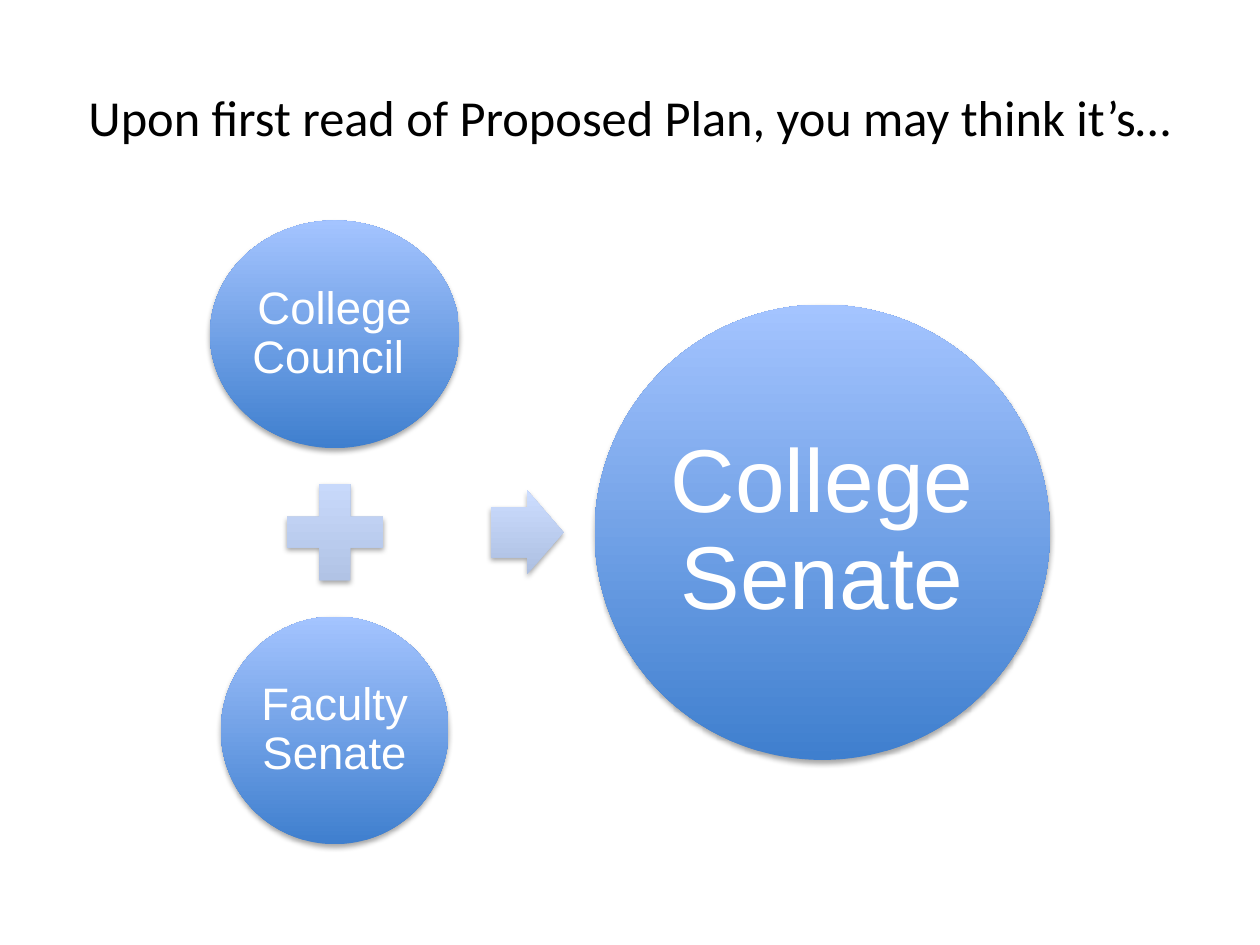
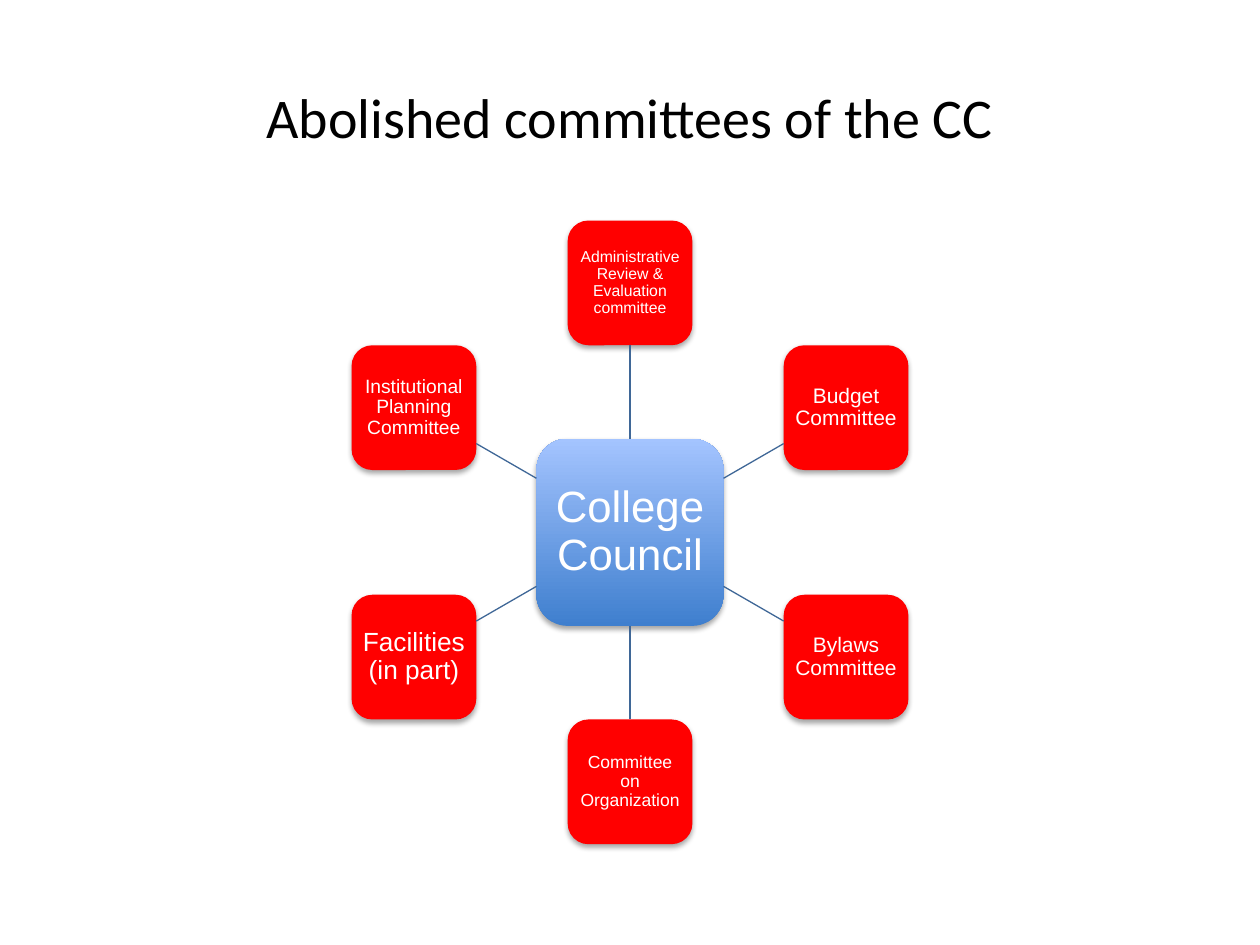
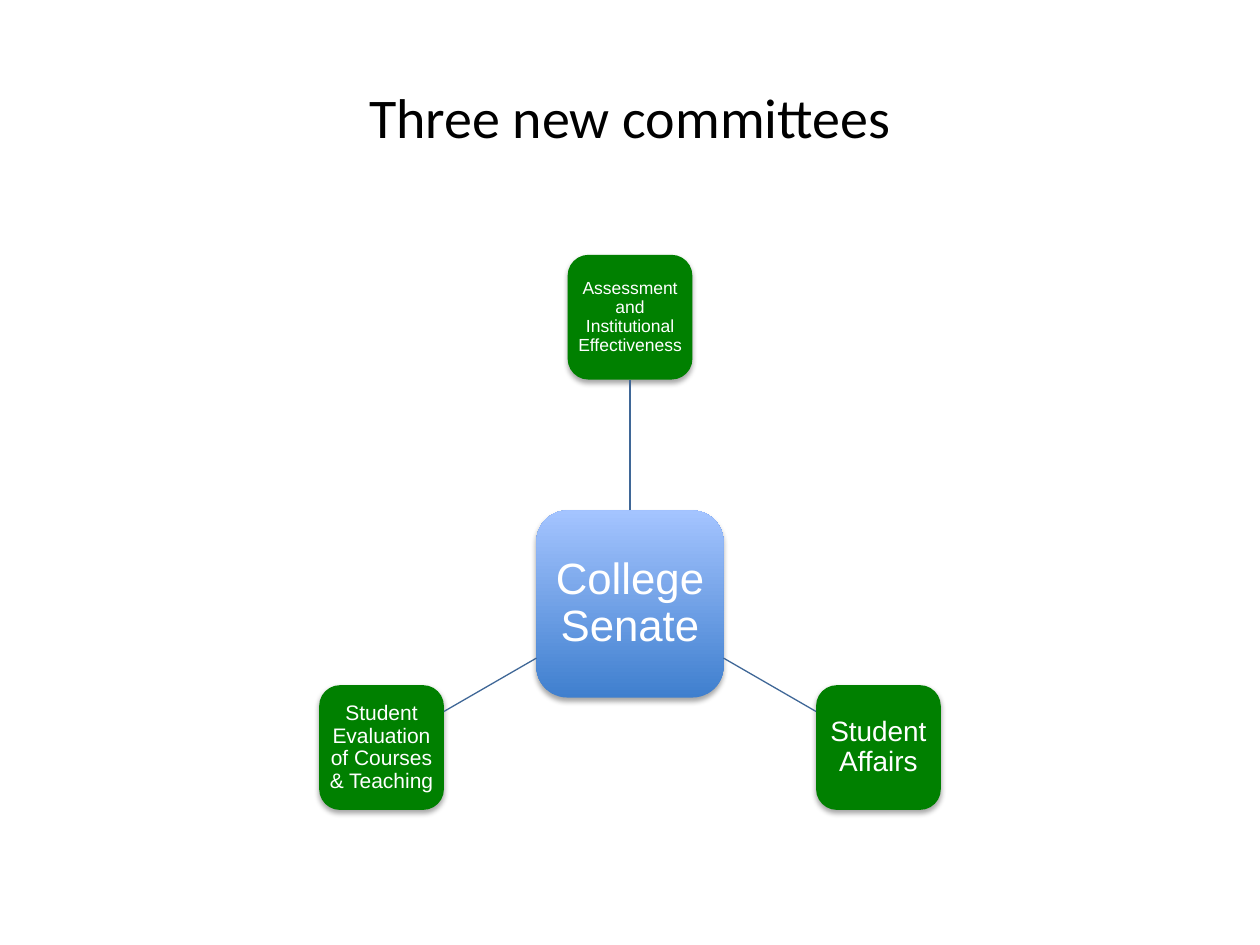
from dataclasses import dataclass
from math import cos, radians, sin

from lxml import etree
from pptx import Presentation
from pptx.dml.color import RGBColor
from pptx.enum.shapes import MSO_CONNECTOR, MSO_SHAPE
from pptx.enum.text import MSO_ANCHOR, PP_ALIGN
from pptx.oxml.ns import qn
from pptx.util import Inches, Pt

CENTER = PP_ALIGN.CENTER
MIDDLE = MSO_ANCHOR.MIDDLE
STRAIGHT = MSO_CONNECTOR.STRAIGHT
ELLIPSE = MSO_SHAPE.OVAL
ROUNDED = MSO_SHAPE.ROUNDED_RECTANGLE
PLUS = MSO_SHAPE.MATH_PLUS
ARROW = MSO_SHAPE.RIGHT_ARROW

COLORS = {
    "title": "000000",
    "label": "FFFFFF",
    "body_low": "3F7FCE",
    "body_high": "A4C4FF",
    "sign_low": "ADBFE1",
    "sign_high": "CCDDFF",
    "spoke": "3F6797",
    "abolished": "FF0000",
    "new": "008000",
    "shadow": "000000",
}
BODY_FILL = ("body_low", "body_high")
SIGN_FILL = ("sign_low", "sign_high")
TITLE_FONT = "Calibri"
LABEL_FONT = "Arial"
TOP, BOTTOM = 0, 2


@dataclass
class Box:
    left: float
    top: float
    width: float
    height: float

    @property
    def center_x(self):
        return self.left + self.width / 2

    @property
    def center_y(self):
        return self.top + self.height / 2

    def emu(self):
        return [Inches(n) for n in (self.left, self.top, self.width, self.height)]


PAGE = Box(0, 0, 10, 7.5)
TITLE_BOX = Box(0.5, 0.3, 9, 1.25)
DIAGRAM_BOX = Box(0.5, 1.75, 9, 4.95)


def centered(x, y, width, height):
    return Box(x - width / 2, y - height / 2, width, height)


def color(name):
    return RGBColor.from_string(COLORS[name])


def write(frame, text, size, font, color_name, insets):
    frame.word_wrap = True
    frame.vertical_anchor = MIDDLE
    frame.margin_left = frame.margin_right = Inches(insets[0])
    frame.margin_top = frame.margin_bottom = Inches(insets[1])
    para = frame.paragraphs[0]
    para.alignment = CENTER
    span = para.add_run()
    span.text = text
    span.font.size = Pt(size)
    span.font.name = font
    span.font.color.rgb = color(color_name)
    return para


def add_title(page, text, size):
    title = page.shapes.add_textbox(*TITLE_BOX.emu())
    write(title.text_frame, text, size, TITLE_FONT, "title", (0.1, 0.05))


def add_soft_shadow(shape):
    shape.shadow.inherit = False
    effects = shape.element.spPr.find(qn("a:effectLst"))
    shadow = etree.SubElement(
        effects, qn("a:outerShdw"), blurRad=str(Pt(3.1)), dist=str(Pt(1.8)),
        dir="5400000", rotWithShape="0")
    tint = etree.SubElement(shadow, qn("a:srgbClr"), val=COLORS["shadow"])
    etree.SubElement(tint, qn("a:alpha"), val="35000")


def add_figure(page, kind, box, fill):
    figure = page.shapes.add_shape(kind, *box.emu())
    if isinstance(fill, tuple):
        figure.fill.gradient()
        figure.fill.gradient_angle = 90
        for stop, name in zip(figure.fill.gradient_stops, fill):
            stop.color.rgb = color(name)
    else:
        figure.fill.solid()
        figure.fill.fore_color.rgb = color(fill)
    figure.line.fill.background()
    add_soft_shadow(figure)
    return figure


def add_labelled(page, kind, box, fill, text, size, inset):
    figure = add_figure(page, kind, box, fill)
    para = write(figure.text_frame, text, size, LABEL_FONT, "label", (inset, inset))
    para.line_spacing = 0.9
    return figure


def add_sum(page, box, first, second, result):
    unit = box.height
    big = 0.73 * unit
    small = big / 2
    column = 0.4 * unit
    sign = 0.21 * unit
    gap = 0.05 * unit
    arrow_width, arrow_height = 0.16 * big, 0.37 * small
    total = column + gap + arrow_width + gap + big
    left = box.center_x - total / 2
    column_x = left + column / 2
    arrow_x = left + column + gap + arrow_width / 2
    result_x = left + total - big / 2

    add_labelled(page, ELLIPSE, centered(column_x, box.top + small / 2, column, small),
                 BODY_FILL, first, 26, 0.04)
    add_figure(page, PLUS, centered(column_x, box.center_y, sign, sign), SIGN_FILL)
    add_labelled(page, ELLIPSE,
                 centered(column_x, box.top + unit - small / 2, small, small),
                 BODY_FILL, second, 26, 0.04)
    arrow = add_figure(page, ARROW,
                       centered(arrow_x, box.center_y, arrow_width, arrow_height), SIGN_FILL)
    arrow.adjustments[0] = 0.6
    add_labelled(page, ELLIPSE, centered(result_x, box.center_y, big, big),
                 BODY_FILL, result, 51, 0.07)


def add_spoke(page, hub, node, start, end, across, down):
    ends = [Inches(n) for n in (*start, *end)]
    spoke = page.shapes.add_connector(STRAIGHT, *ends)
    spoke.line.color.rgb = color("spoke")
    spoke.line.width = Pt(0.75)
    etree.SubElement(spoke.element.spPr, qn("a:effectLst"))
    if abs(across) < 0.01:
        hub_side, node_side = (TOP, BOTTOM) if down < 0 else (BOTTOM, TOP)
        spoke.begin_connect(hub, hub_side)
        spoke.end_connect(node, node_side)


def add_wheel(page, box, hub_text, committees, fill, reach):
    hub_side, node_side = 0.3 * box.height, 0.2 * box.height
    radius = reach * box.height
    angles = [radians(360 * i / len(committees) - 90) for i in range(len(committees))]
    heights = [sin(angle) for angle in angles]
    hub_x = box.center_x
    hub_y = box.center_y - radius * (max(heights) + min(heights)) / 2
    hub = add_labelled(page, ROUNDED, centered(hub_x, hub_y, hub_side, hub_side),
                       BODY_FILL, hub_text, 25, 0.07)
    for angle, (text, size) in zip(angles, committees):
        across, down = cos(angle), sin(angle)
        node_box = centered(hub_x + radius * across, hub_y + radius * down,
                            node_side, node_side)
        inset = 0.04 if size > 12 else 0.03
        node = add_labelled(page, ROUNDED, node_box, fill, text, size, inset)
        edge = max(abs(across), abs(down))
        start, end = [(hub_x + across * length, hub_y + down * length)
                      for length in (hub_side / 2 / edge, radius - node_side / 2 / edge)]
        add_spoke(page, hub, node, start, end, across, down)


ABOLISHED = [
    ("Administrative Review & Evaluation committee", 9),
    ("Budget Committee", 12),
    ("Bylaws Committee", 12),
    ("Committee on Organization", 10),
    ("Facilities (in part)", 15),
    ("Institutional Planning Committee", 11),
]
NEW = [
    ("Assessment and Institutional Effectiveness", 10),
    ("Student Affairs", 16),
    ("Student Evaluation of Courses & Teaching", 12),
]


def main():
    deck = Presentation()
    deck.slide_width, deck.slide_height = Inches(PAGE.width), Inches(PAGE.height)
    blank = deck.slide_layouts[6]

    page = deck.slides.add_slide(blank)
    add_title(page, "Upon first read of Proposed Plan, you may think it’s…", 28.8)
    add_sum(page, DIAGRAM_BOX, "College Council ", "Faculty Senate", "College Senate")

    page = deck.slides.add_slide(blank)
    add_title(page, "Abolished committees of the CC", 32)
    add_wheel(page, DIAGRAM_BOX, "College Council", ABOLISHED, "abolished", 0.4)

    page = deck.slides.add_slide(blank)
    add_title(page, "Three new committees", 32)
    add_wheel(page, DIAGRAM_BOX, "College Senate", NEW, "new", 0.46)

    deck.save("out.pptx")


if __name__ == "__main__":
    main()
